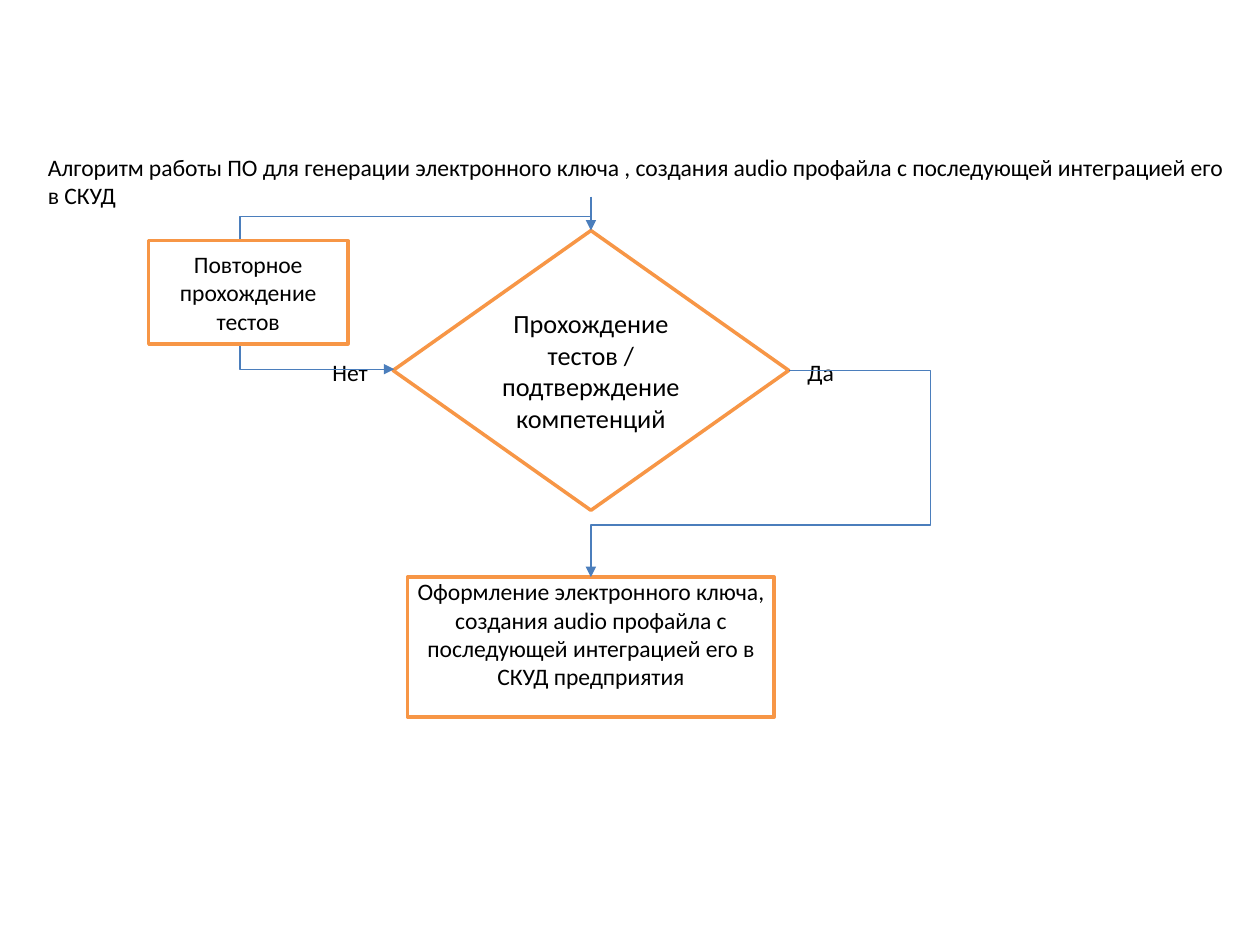
"""Build a flowchart slide on issuing an electronic access key."""
from dataclasses import dataclass

import pptx
import pptx.dml.color
import pptx.enum.shapes
import pptx.enum.text
import pptx.oxml.ns
import pptx.util
from lxml import etree

Inches = pptx.util.Inches
Pt = pptx.util.Pt
RGBColor = pptx.dml.color.RGBColor
Shapes = pptx.enum.shapes.MSO_SHAPE
Anchor = pptx.enum.text.MSO_ANCHOR
Align = pptx.enum.text.PP_ALIGN
qn = pptx.oxml.ns.qn

WIDTH, HEIGHT = 10, 7.5
AXIS = 4.69
FONT = "Calibri"
BLACK = RGBColor(0x00, 0x00, 0x00)
WHITE = RGBColor(0xFF, 0xFF, 0xFF)
ORANGE = RGBColor(0xF7, 0x96, 0x46)
BLUE = RGBColor(0x4B, 0x7E, 0xBC)


@dataclass
class Step:
    text: str
    kind: int
    center: float
    top: float
    width: float
    height: float
    size: float = 13.5
    anchor: int = Anchor.MIDDLE
    top_inset: float = 0.04


@dataclass
class Label:
    text: str
    left: float
    width: float


@dataclass
class Arrow:
    start: tuple[float, float]
    end: tuple[float, float]
    preset: str = "line"
    bends: tuple[float, ...] = ()


TITLE = ("Алгоритм работы ПО для генерации электронного ключа , создания audio "
         "профайла с последующей интеграцией его в СКУД ")
DECISION = Step("Прохождение тестов / подтверждение компетенций",
                Shapes.FLOWCHART_DECISION, AXIS, 1.83, 3.14, 2.22, 15)
ISSUE = Step("Оформление электронного ключа, создания audio профайла с "
             "последующей интеграцией его в СКУД предприятия",
             Shapes.FLOWCHART_PROCESS, AXIS, 4.58, 2.91, 1.11,
             anchor=Anchor.TOP, top_inset=0)
RETRY = Step("Повторное прохождение тестов",
             Shapes.FLOWCHART_PROCESS, 1.97, 1.91, 1.58, 0.82)
LABELS = [Label("Нет", 2.54, 0.49), Label("Да", 6.31, 0.42)]
ENTRY = Arrow((AXIS, 1.56), (AXIS, DECISION.top))
BRANCHES = [
    Arrow((AXIS, 1.72), (3.13, 2.93), "bentConnector3", (1.785,)),
    Arrow((6.26, 2.94), (AXIS, ISSUE.top), "bentConnector4", (-0.718, 0.748)),
]


def write(frame, text: str, size: float, align: int) -> None:
    frame.text = text
    para = frame.paragraphs[0]
    para.alignment = align
    font = para.runs[0].font
    font.name, font.size = FONT, Pt(size)
    font.color.rgb = BLACK


def add_title(page) -> None:
    title = page.shapes.title
    title.left, title.top = Inches(0.28), Inches(1.16)
    title.width, title.height = Inches(9.55), Inches(0.56)
    frame = title.text_frame
    frame.word_wrap = True
    frame.auto_size = pptx.enum.text.MSO_AUTO_SIZE.NONE
    frame.vertical_anchor = Anchor.TOP
    write(frame, TITLE, 13.5, Align.LEFT)


def add_step(page, step: Step) -> None:
    box = page.shapes.add_shape(
        step.kind, Inches(step.center - step.width / 2), Inches(step.top),
        Inches(step.width), Inches(step.height))
    box.shadow.inherit = False
    box.fill.solid()
    box.fill.fore_color.rgb = WHITE
    box.line.color.rgb = ORANGE
    box.line.width = Pt(2)
    frame = box.text_frame
    frame.word_wrap = True
    frame.vertical_anchor = step.anchor
    frame.margin_left = frame.margin_right = Inches(0.07)
    frame.margin_top, frame.margin_bottom = Inches(step.top_inset), Inches(0.04)
    write(frame, step.text, step.size, Align.CENTER)


def add_label(page, label: Label) -> None:
    box = page.shapes.add_textbox(
        Inches(label.left), Inches(2.79), Inches(label.width), Inches(0.33))
    box.text_frame.word_wrap = False
    write(box.text_frame, label.text, 13.5, Align.LEFT)


def add_arrow(page, arrow: Arrow) -> None:
    kinds = pptx.enum.shapes.MSO_CONNECTOR
    kind = kinds.ELBOW if arrow.bends else kinds.STRAIGHT
    points = [Inches(value) for value in arrow.start + arrow.end]
    connector = page.shapes.add_connector(kind, *points)
    connector.line.color.rgb = BLUE
    connector.line.width = Pt(0.75)
    properties = connector._element.spPr
    geometry = properties.find(qn("a:prstGeom"))
    geometry.set("prst", arrow.preset)
    guides = geometry.find(qn("a:avLst"))
    if guides is None:
        guides = etree.SubElement(geometry, qn("a:avLst"))
    for number, share in enumerate(arrow.bends, 1):
        etree.SubElement(guides, qn("a:gd"), name=f"adj{number}",
                         fmla=f"val {round(share * 100000)}")
    etree.SubElement(properties.find(qn("a:ln")), qn("a:tailEnd"), type="triangle")
    etree.SubElement(properties, qn("a:effectLst"))


def main() -> None:
    deck = pptx.Presentation()
    deck.slide_width, deck.slide_height = Inches(WIDTH), Inches(HEIGHT)
    page = deck.slides.add_slide(deck.slide_layouts.get_by_name("Title Only"))
    add_title(page)
    add_step(page, DECISION)
    add_arrow(page, ENTRY)
    for label in LABELS:
        add_label(page, label)
    add_step(page, ISSUE)
    for branch in BRANCHES:
        add_arrow(page, branch)
    add_step(page, RETRY)
    deck.save("out.pptx")


main()
